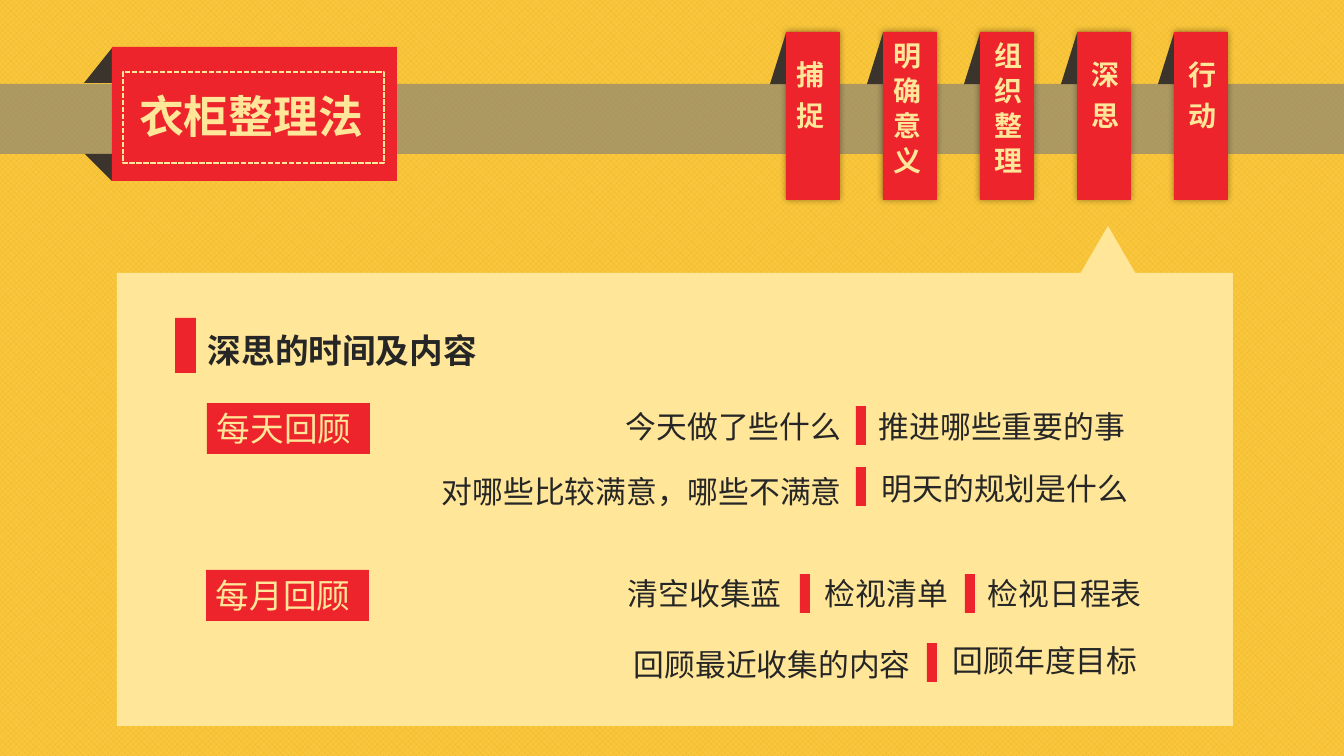
from lxml import etree
from pptx import Presentation
from pptx import util as u
from pptx.dml.color import RGBColor
from pptx.enum import dml, shapes, text
from pptx.oxml.ns import qn

FONT = "Noto Sans CJK SC"
RED, CREAM, DARK, FOLD = "ED242C", "FFE699", "262626", "3B342D"

# Content: places in px, 1344 x 756
TITLE = "衣柜整理法"
# tab label, start indent, letter spacing (1/100 pt), line spacing
TABS = [
    ("捕 捉", 19, 225, 1.1),
    ("明 确 意 义", 0, 0, 1.1),
    ("组 织 整 理", 0, 0, 1.0),
    ("深 思", 19, 225, 1.0),
    ("行 动", 19, 225, 1.0),
]
ACTIVE_TAB = 3
HEADING = "深思的时间及内容"
PERIODS = [("每天回顾", 207, 403), ("每月回顾", 206, 570)]
REVIEW_ITEMS = [  # text, left, top, width
    ("今天做了些什么", 616, 403, 243),
    ("推进哪些重要的事", 869, 403, 285),
    ("对哪些比较满意，哪些不满意", 432, 468, 424),
    ("明天的规划是什么", 872, 465, 270),
    ("清空收集蓝", 618, 570, 181),
    ("检视清单", 815, 570, 157),
    ("检视日程表", 978, 570, 176),
    ("回顾最近收集的内容", 624, 641, 300),
    ("回顾年度目标", 943, 637, 208),
]
SEPARATORS = [(856, 406), (856, 467), (800, 574), (965, 574), (927, 643)]

prs = Presentation()


def px(n):
    return u.Emu(round(n * 914400 / 100.8))


def colour(hex_code):
    return RGBColor.from_string(hex_code)


prs.slide_width, prs.slide_height = px(1344), px(756)
slide = prs.slides.add_slide(prs.slide_layouts[5])


def block(x, y, w, h, fill=None, preset=shapes.MSO_SHAPE.RECTANGLE):
    shape = slide.shapes.add_shape(preset, px(x), px(y), px(w), px(h))
    shape.shadow.inherit = False
    shape.line.fill.background()
    if fill:
        shape.fill.solid()
        shape.fill.fore_color.rgb = colour(fill)
    else:
        shape.fill.background()
    return shape


def fold(*corners):
    builder = slide.shapes.build_freeform(*corners[0], scale=914400 / 100.8)
    builder.add_line_segments(corners[1:], close=True)
    shape = builder.convert_to_shape()
    shape.shadow.inherit = False
    shape.fill.solid()
    shape.fill.fore_color.rgb = colour(FOLD)
    shape.line.fill.background()


def write(shape, words, size, hex_code, bold=False):
    frame = shape.text_frame
    frame.text = words
    frame.word_wrap = True
    frame.auto_size = text.MSO_AUTO_SIZE.NONE
    frame.vertical_anchor = text.MSO_ANCHOR.TOP
    paragraph = frame.paragraphs[0]
    paragraph.alignment = text.PP_ALIGN.LEFT
    run = paragraph.runs[0]
    run.font.size, run.font.bold = u.Pt(size), bold
    run.font.color.rgb = colour(hex_code)
    run.font.name = FONT
    east_asian = etree.SubElement(run._r.get_or_add_rPr(), qn("a:ea"))
    east_asian.set("typeface", FONT)
    return paragraph


def text_box(words, x, y, w, h, size, hex_code, bold=False):
    box = slide.shapes.add_textbox(px(x), px(y), px(w), px(h))
    write(box, words, size, hex_code, bold)


def add_alpha(colour_element, percent):
    etree.SubElement(colour_element, qn("a:alpha")).set("val", str(percent * 1000))


def add_glow_shadow(shape):
    effects = shape._element.spPr.find(qn("a:effectLst"))
    shadow = etree.SubElement(effects, qn("a:outerShdw"), blurRad="63500", dist="0", algn="ctr")
    black = etree.SubElement(shadow, qn("a:srgbClr"), val="000000")
    add_alpha(black, 40)


# Background, panel and band
backdrop = slide.background.fill
backdrop.patterned()
backdrop.pattern = dml.MSO_PATTERN.SOLID_DIAMOND
backdrop.fore_color.rgb = colour("F4B61E")
backdrop.back_color.rgb = colour("F8C73F")
block(117, 273, 1116, 453, CREAM)
band = block(0, 84, 1344, 70, "7C7C7C")
add_alpha(band._element.spPr.find(".//" + qn("a:srgbClr")), 60)

# Title ribbon
fold((84, 83), (112, 83), (112, 48))
fold((112, 181), (112, 154), (85, 154))
block(112, 47, 285, 134, RED)
stitching = block(123, 72, 261, 91)
stitching.line.color.rgb = colour(CREAM)
stitching.line.width = u.Pt(1.25)
stitching.line.dash_style = dml.MSO_LINE.SQUARE_DOT
title = slide.shapes.title
title.left, title.top, title.width, title.height = px(129), px(84), px(254), px(64)
write(title, TITLE, 32, CREAM, True)
slide.shapes._spTree.append(title._element)

# Tabs
TAB_X, TAB_STEP, TAB_W = 786, 97, 54
for i, (label, indent, spacing, line_spacing) in enumerate(TABS):
    x = TAB_X + i * TAB_STEP
    tab = block(x, 32, TAB_W, 168, RED)
    add_glow_shadow(tab)
    paragraph = write(tab, label, 20, CREAM, True)
    paragraph.line_spacing = line_spacing
    paragraph._p.get_or_add_pPr().set("marL", str(px(indent)))
    paragraph.runs[0]._r.get_or_add_rPr().set("spc", str(spacing))
    frame = tab.text_frame
    frame.margin_left = frame.margin_right = px(10)
    frame.margin_top = frame.margin_bottom = px(10)
    frame._txBody.bodyPr.set("vert", "eaVert")
    fold((x - 16, 84), (x, 84), (x, 33))

# Pointer to the active tab
pointer_x = TAB_X + ACTIVE_TAB * TAB_STEP + 3
block(pointer_x, 226, 56, 48, CREAM, shapes.MSO_SHAPE.ISOSCELES_TRIANGLE)

# Heading
block(175, 318, 21, 55, RED)
text_box(HEADING, 198, 325, 302, 50, 24, DARK, True)

# Review lists
for words, x, y in PERIODS:
    write(block(x, y, 163, 51, RED), words, 24, CREAM)
for words, x, y, w in REVIEW_ITEMS:
    text_box(words, x, y, w, 47, 22, DARK)
for x, y in SEPARATORS:
    block(x, y, 10, 39, RED)

prs.save("out.pptx")
